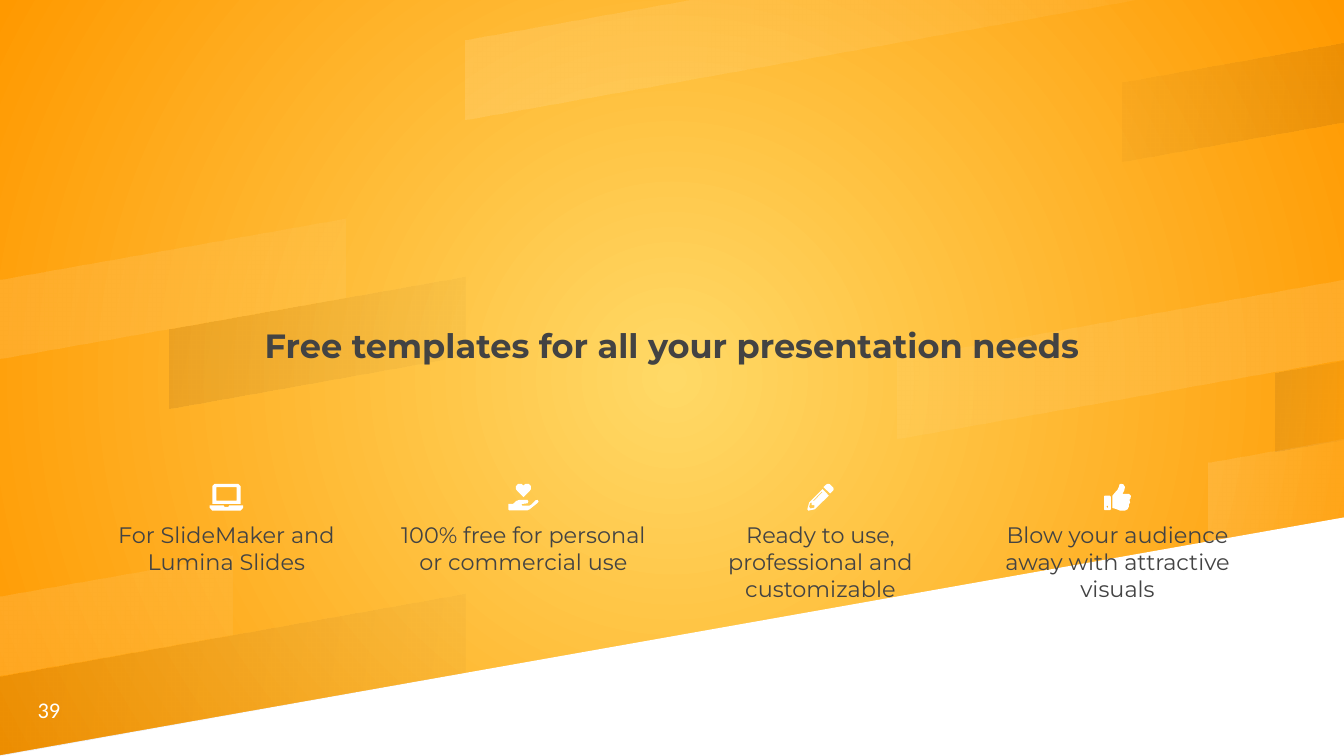
from pptx import Presentation
from pptx.dml.color import RGBColor
from pptx.enum.text import MSO_ANCHOR as Anchor, PP_ALIGN as Align
from pptx.oxml import parse_xml
from pptx.oxml.ns import nsdecls
from pptx.util import Inches, Pt

WIDTH, HEIGHT = 10, 5.625
COLUMN_LEFT, COLUMN_STEP, COLUMN_WIDTH = 0.76, 2.21, 1.85
ICON_TOP, CAPTION_TOP = 3.6, 3.88
SLOPE, BAND_HEIGHT = 0.177, 0.59
MILLI = Inches(1) / 1000

WHITE = RGBColor(0xFF, 0xFF, 0xFF)
INK = RGBColor(0x43, 0x43, 0x43)
SHADE = RGBColor(0x00, 0x00, 0x1A)
YELLOW = RGBColor(0xFF, 0xD9, 0x66)
ORANGE = RGBColor(0xFF, 0x99, 0x00)

RADIAL = '<a:path path="circle"><a:fillToRect l="50000" t="50000" r="50000" b="50000"/></a:path>'
LINEAR = '<a:lin ang="600000" scaled="0"/>'

# left, top at left, right, colour, opacity at start, opacity at end
BANDS = [
    (3.46, 0.3, 8.48, WHITE, 12, 5),
    (0, 5.03, 3.46, SHADE, 8, 2),
    (8.99, 3.44, 10, WHITE, 12, 5),
    (0, 4.44, 1.73, WHITE, 12, 5),
    (9.49, 2.77, 10, SHADE, 8, 2),
    (6.68, 2.67, 10, WHITE, 5, 12),
    (1.26, 2.45, 3.46, SHADE, 8, 2),
    (0, 2.08, 2.57, WHITE, 12, 5),
    (8.35, 0.61, 10, SHADE, 2, 8),
]

LAPTOP = [
    [(-105, 150), (-105, 18), (-88, 0), (88, 0), (105, 18), (105, 150)],
    [(-75, 25), (75, 25), (75, 125), (-75, 125)],
    [(-125, 160), (-22, 160), (-14, 172), (14, 172), (22, 160), (125, 160),
     (125, 178), (105, 200), (-105, 200), (-125, 178)],
]
GIVING_HAND = [
    [(0, 13), (15, 0), (40, 0), (56, 18), (56, 40), (45, 54), (0, 99),
     (-45, 54), (-56, 40), (-56, 18), (-40, 0), (-15, 0)],
    [(-112, 150), (-78, 150), (-55, 128), (-32, 120), (30, 120), (37, 130),
     (30, 145), (-10, 150), (-15, 155), (-10, 162), (45, 162), (58, 155),
     (90, 122), (105, 120), (112, 132), (105, 142), (48, 188), (30, 198),
     (-105, 198), (-112, 192)],
]
PENCIL = [
    [(22, 25), (45, 4), (58, 0), (70, 3), (95, 28), (98, 40), (95, 50), (72, 72)],
    [(15, 40), (-84, 140), (-98, 190), (-90, 200), (-42, 190), (62, 88)],
    [(15, 62), (-50, 130), (-55, 125), (10, 58)],
    [(-65, 140), (-65, 158), (-45, 160), (-45, 178), (-75, 184), (-85, 172), (-76, 142)],
]
THUMB = [
    [(-95, 88), (-57, 88), (-50, 95), (-50, 190), (-57, 197), (-95, 197),
     (-100, 190), (-100, 95)],
    [(-75, 162), (-67, 171), (-75, 180), (-83, 171)],
    [(25, 0), (45, 5), (56, 25), (50, 50), (38, 75), (85, 75), (100, 90),
     (97, 110), (90, 118), (94, 140), (85, 155), (85, 170), (75, 190),
     (55, 200), (20, 200), (-10, 188), (-38, 180), (-38, 90), (-18, 65),
     (0, 45), (10, 25), (15, 5)],
]
FEATURES = [
    ("For SlideMaker and Lumina Slides", LAPTOP),
    ("100% free for personal or commercial use", GIVING_HAND),
    ("Ready to use, professional and customizable", PENCIL),
    ("Blow your audience away with attractive visuals", THUMB),
]


def paint_gradient(element, fill, start, end, direction):
    """Fill with a gradient between two (colour, opacity) stops."""
    fill.solid()
    stops = "".join(
        f'<a:gs pos="{pos}"><a:srgbClr val="{colour}">'
        f'<a:alpha val="{opacity * 1000}"/></a:srgbClr></a:gs>'
        for pos, (colour, opacity) in ((0, start), (100000, end)))
    solid = element.xpath(".//a:solidFill")[0]
    solid.getparent().replace(solid, parse_xml(
        f'<a:gradFill {nsdecls("a")} rotWithShape="1">'
        f'<a:gsLst>{stops}</a:gsLst>{direction}</a:gradFill>'))


def add_outline(s, contours, x=0, y=0):
    """Draw closed contours, in thousandths of an inch from (x, y), in white."""
    builder = s.shapes.build_freeform(*contours[0][0], scale=MILLI)
    for i, points in enumerate(contours):
        if i:
            builder.move_to(*points[0])
        builder.add_line_segments(points[1:], close=True)
    sp = builder.convert_to_shape(Inches(x), Inches(y))
    sp.shadow.inherit = False
    sp.fill.solid()
    sp.fill.fore_color.rgb = WHITE
    sp.line.fill.background()
    return sp


def add_band(s, left, top, right, colour, start, end):
    """Draw a translucent slanted band, cut off at the slide's top edge."""
    def upper_end(y):
        x = min(right, left + y / SLOPE)
        return x, max(0, y - SLOPE * (x - left))

    bottom = top + BAND_HEIGHT
    corners = [(left, top), (left, bottom), upper_end(bottom), upper_end(top)]
    sp = add_outline(s, [[(x * 1000, y * 1000) for x, y in corners]])
    paint_gradient(sp.element, sp.fill, (colour, start), (colour, end), LINEAR)


def add_text(s, text, box, size, colour=INK, font="Montserrat", bold=False,
             align=Align.CENTER, anchor=Anchor.TOP):
    """Add a wrapped text box without margins."""
    tf = s.shapes.add_textbox(*map(Inches, box)).text_frame
    tf.word_wrap = True
    tf.vertical_anchor = anchor
    tf.margin_left = tf.margin_right = tf.margin_top = tf.margin_bottom = 0
    tf.text = text
    p = tf.paragraphs[0]
    p.alignment = align
    r = p.runs[0]
    r.font.name, r.font.size, r.font.bold = font, Pt(size), bold
    r.font.color.rgb = colour


def add_feature(s, column, caption, icon):
    """Add an icon with its caption in one grid column."""
    left = COLUMN_LEFT + column * COLUMN_STEP
    add_text(s, caption, (left, CAPTION_TOP, COLUMN_WIDTH, 0.7), 12)
    add_outline(s, icon, left + COLUMN_WIDTH / 2, ICON_TOP)


def main():
    """Build and save the slide."""
    prs = Presentation()
    prs.slide_width, prs.slide_height = Inches(WIDTH), Inches(HEIGHT)
    s = prs.slides.add_slide(prs.slide_layouts[6])
    paint_gradient(s.element, s.background.fill, (YELLOW, 100), (ORANGE, 100), RADIAL)
    add_outline(s, [[(0, 5625), (10000, 5625), (10000, 3850), (0, 5620)]])
    for band in BANDS:
        add_band(s, *band)
    add_text(s, "Free templates for all your presentation needs",
             (1.21, 2.42, 7.58, 0.29), 18, bold=True)
    for column, (caption, icon) in enumerate(FEATURES):
        add_feature(s, column, caption, icon)
    add_text(s, "39", (0.28, 5.11, 0.53, 0.27), 12, WHITE, "Calibri",
             align=Align.LEFT, anchor=Anchor.BOTTOM)
    prs.save("out.pptx")


if __name__ == "__main__":
    main()
